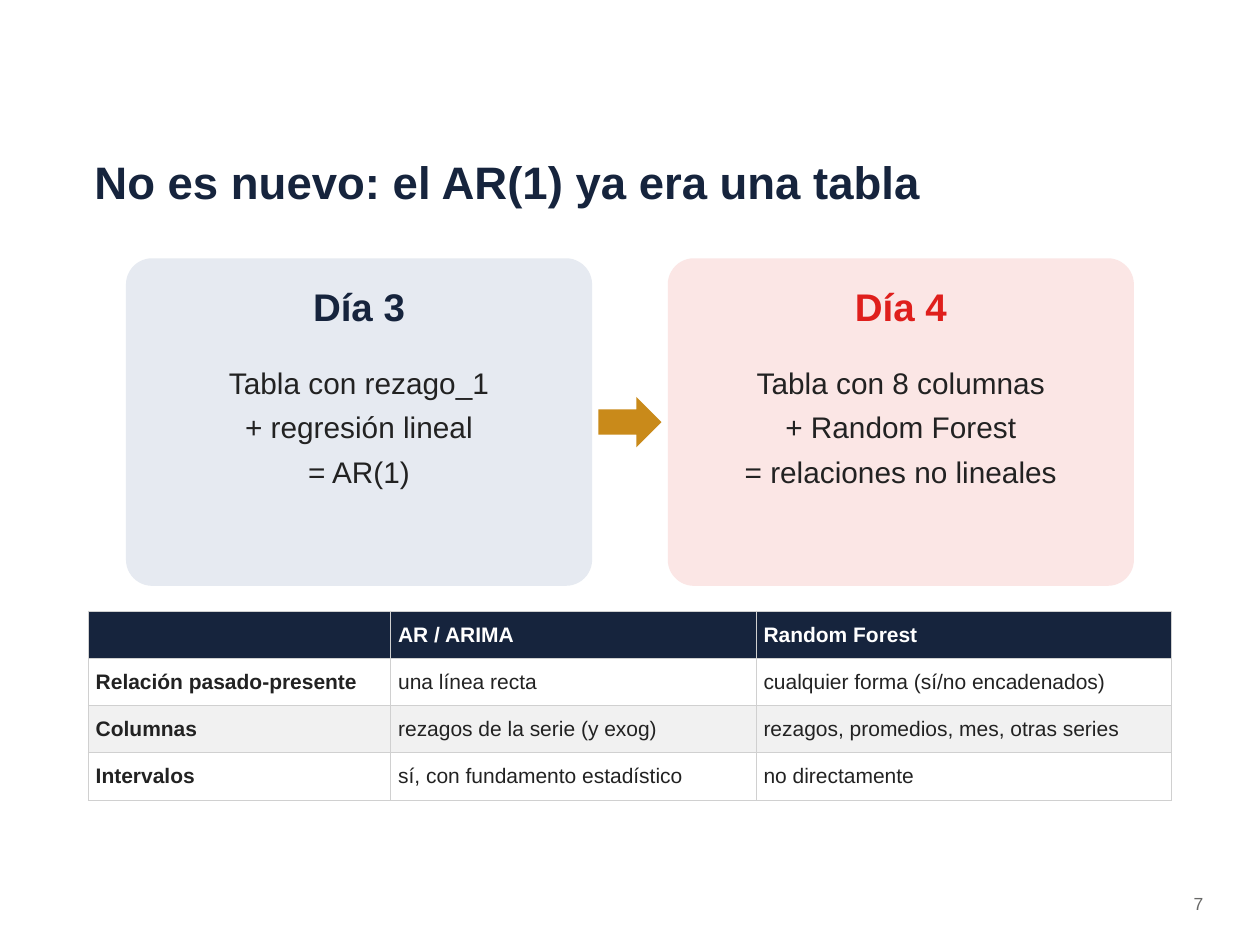
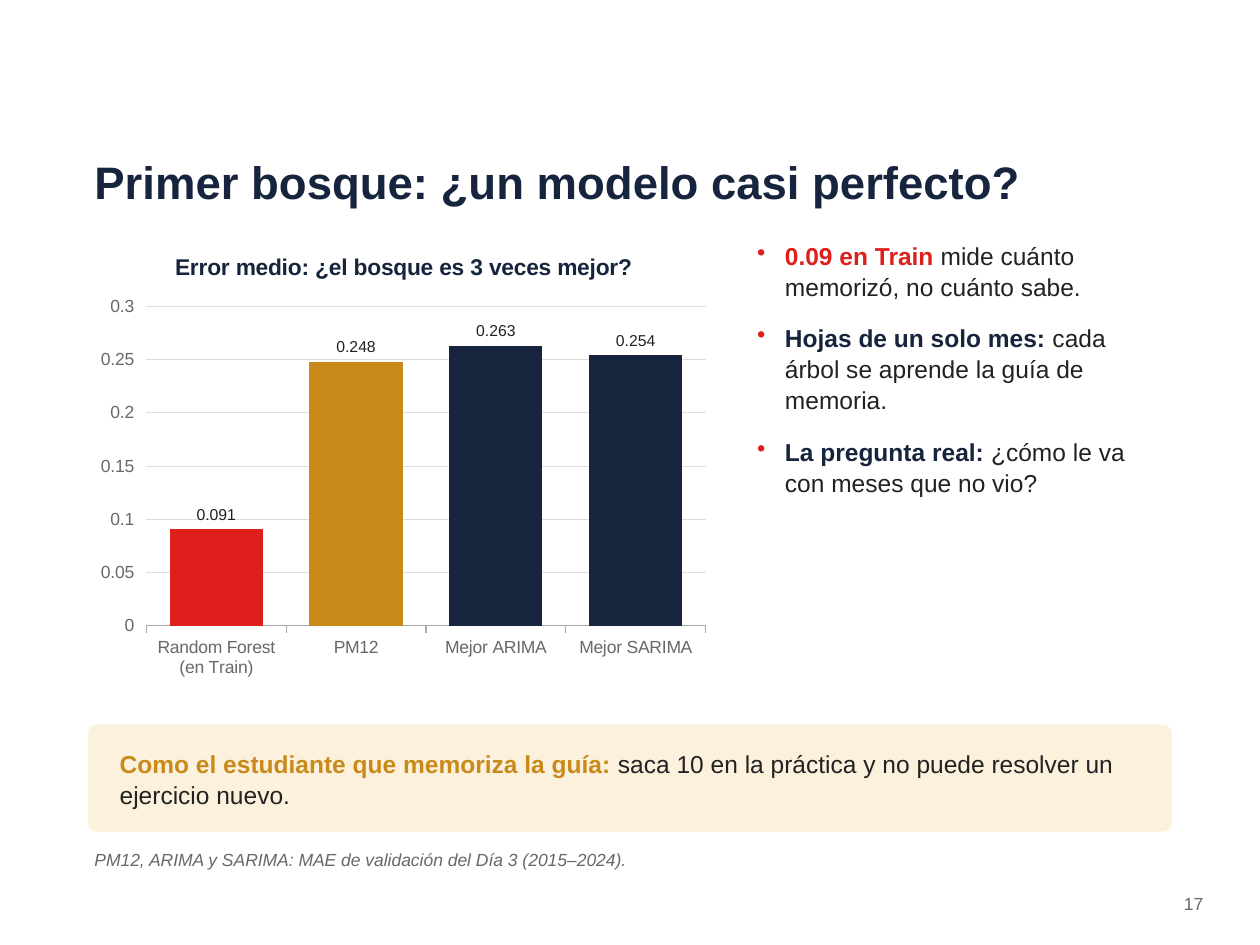
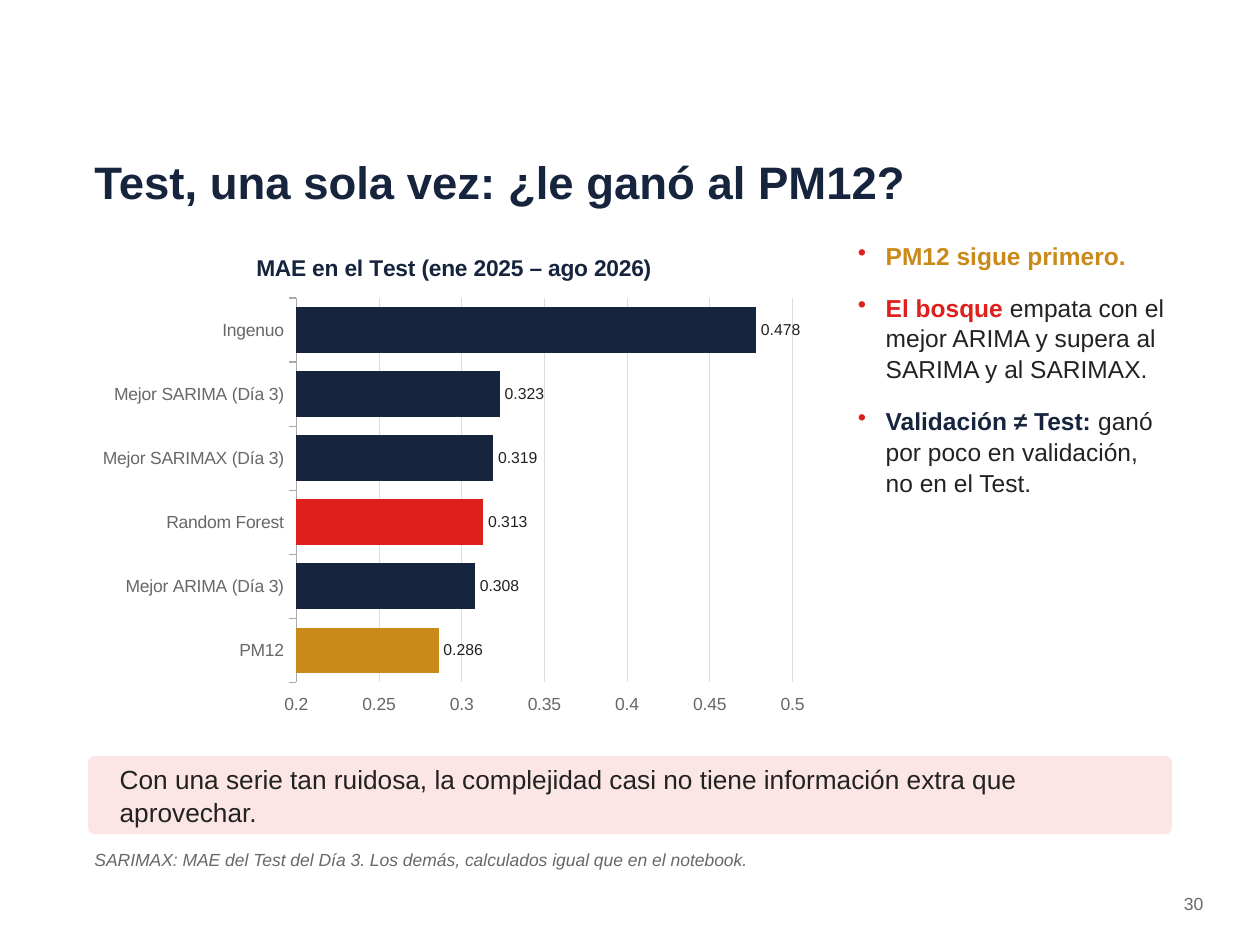
"""Build three slides on forecasting with tables and random forests."""
from lxml import etree
from pptx import Presentation
from pptx.chart.data import CategoryChartData
from pptx.dml.color import RGBColor
from pptx.enum.chart import XL_CHART_TYPE, XL_LABEL_POSITION, XL_TICK_LABEL_POSITION
from pptx.enum.shapes import MSO_SHAPE
from pptx.enum.text import MSO_ANCHOR, MSO_AUTO_SIZE, PP_ALIGN
from pptx.oxml.ns import qn
from pptx.util import Pt

COLUMNS = XL_CHART_TYPE.COLUMN_CLUSTERED
BARS = XL_CHART_TYPE.BAR_CLUSTERED
OUTSIDE = XL_LABEL_POSITION.OUTSIDE_END
LOW = XL_TICK_LABEL_POSITION.LOW
ROUNDED = MSO_SHAPE.ROUNDED_RECTANGLE
ARROW = MSO_SHAPE.RIGHT_ARROW
TOP, MIDDLE = MSO_ANCHOR.TOP, MSO_ANCHOR.MIDDLE
GROW = MSO_AUTO_SIZE.SHAPE_TO_FIT_TEXT
LEFT, CENTER, RIGHT = PP_ALIGN.LEFT, PP_ALIGN.CENTER, PP_ALIGN.RIGHT

FONT = "Arial"
COLORS = {
    "navy": "16243D", "red": "DF1F1C", "gold": "C98A1A", "ink": "222222",
    "gray": "686867", "white": "FFFFFF", "band": "F1F1F1", "border": "D0D0D0",
    "grid": "DDDDDD", "axis": "AAAAAA", "black": "000000",
    "pale_blue": "E6EAF1", "pale_red": "FBE6E5", "pale_gold": "FBF1DC",
}
MARGIN, CONTENT_WIDTH, CONTENT_TOP, GAP = 50.4, 619.2, 133.2, 14.4


def rgb(color):
    return RGBColor.from_string(COLORS[color])


def style_font(font, size, color=None, bold=None, italic=None):
    font.name, font.size, font.bold, font.italic = FONT, Pt(size), bold, italic
    if color:
        font.color.rgb = rgb(color)


def style_line(line, color, width):
    line.color.rgb = rgb(color)
    line.width = Pt(width)


def add_bullet(paragraph):
    properties = paragraph._p.get_or_add_pPr()
    properties.set("marL", str(Pt(20.16)))
    properties.set("indent", str(-Pt(15.84)))
    bullet_color = etree.SubElement(properties, qn("a:buClr"))
    etree.SubElement(bullet_color, qn("a:srgbClr"), val=COLORS["red"])
    etree.SubElement(properties, qn("a:buChar"), char="•")


def add_borders(cell):
    properties = cell._tc.get_or_add_tcPr()
    for side in ("a:lnL", "a:lnR", "a:lnT", "a:lnB"):
        border = etree.SubElement(properties, qn(side), w=str(Pt(0.5)))
        fill = etree.SubElement(border, qn("a:solidFill"))
        etree.SubElement(fill, qn("a:srgbClr"), val=COLORS["border"])


class Deck:
    """Holds the shared style and the slide being filled."""

    def __init__(self):
        self.presentation = Presentation()
        self.presentation.slide_width = Pt(720)
        self.presentation.slide_height = Pt(540)
        self.slide = None

    def new_slide(self, title, number):
        layout = self.presentation.slide_layouts[6]
        self.slide = self.presentation.slides.add_slide(layout)
        self.text((MARGIN, 75.6, CONTENT_WIDTH, 54), [title], 26, "navy",
                  bold=True, anchor=MIDDLE)
        self.text((648, 507.6, 43.2, 21.6), [number], 10, "gray", align=RIGHT)

    def text(self, box, paragraphs, size, color="ink", bold=None, italic=None,
             align=LEFT, anchor=TOP, bullets=False):
        """Each paragraph is a string or a lead, its colour and the rest."""
        frame = self.slide.shapes.add_textbox(*map(Pt, box)).text_frame
        frame.word_wrap = True
        frame.auto_size = GROW
        frame.vertical_anchor = anchor
        frame.margin_left = frame.margin_right = Pt(3.6)
        frame.margin_top = frame.margin_bottom = Pt(3.6 if bullets else 2.16)
        for index, content in enumerate(paragraphs):
            paragraph = frame.add_paragraph() if index else frame.paragraphs[0]
            paragraph.alignment = align
            paragraph.line_spacing = 1.05
            paragraph.space_after = Pt(12 if bullets else 4)
            if bullets:
                add_bullet(paragraph)
            style_font(paragraph.font, size, color, bold, italic)
            if isinstance(content, str):
                paragraph.add_run().text = content
                continue
            lead_text, lead_color, rest = content
            lead = paragraph.add_run()
            lead.text = lead_text
            lead.font.bold = True
            lead.font.color.rgb = rgb(lead_color)
            if rest:
                paragraph.add_run().text = " " + rest

    def shape(self, kind, box, fill):
        shape = self.slide.shapes.add_shape(kind, *map(Pt, box))
        shape.shadow.inherit = False
        shape.fill.solid()
        shape.fill.fore_color.rgb = rgb(fill)
        shape.line.fill.background()
        if kind == ROUNDED:
            shape.adjustments[0] = 0.08

    def card(self, left, fill, heading, heading_color, lines):
        self.shape(ROUNDED, (left, 147.6, 266.4, 187.2), fill)
        self.text((left, 158.4, 266.4, 36), [heading], 22, heading_color,
                  bold=True, align=CENTER)
        self.text((left + GAP, 205.2, 237.6, 122.4), lines, 17, align=CENTER)

    def callout(self, top, height, fill, message, size):
        self.shape(ROUNDED, (MARGIN, top, CONTENT_WIDTH, height), fill)
        self.text((MARGIN + GAP, top, CONTENT_WIDTH - 2 * GAP, height),
                  [message], size, anchor=MIDDLE)

    def note(self, words):
        self.text((MARGIN, 482.4, CONTENT_WIDTH, 21.6), [words], 10, "gray",
                  italic=True)

    def table(self, top, widths, row_height, rows):
        table = self.slide.shapes.add_table(
            len(rows), len(widths), Pt(MARGIN), Pt(top),
            Pt(sum(widths)), Pt(row_height * len(rows))).table
        for column, width in zip(table.columns, widths):
            column.width = Pt(width)
        for r, row in enumerate(rows):
            fill = "navy" if r == 0 else "white" if r % 2 else "band"
            for c, words in enumerate(row):
                cell = table.cell(r, c)
                add_borders(cell)
                cell.fill.solid()
                cell.fill.fore_color.rgb = rgb(fill)
                cell.vertical_anchor = MIDDLE
                cell.margin_left = cell.margin_right = Pt(4.32)
                cell.margin_top = cell.margin_bottom = Pt(2.16)
                cell.text = words
                style_font(cell.text_frame.paragraphs[0].font, 12,
                           "ink" if r else "white", r == 0 or c == 0)

    def chart(self, kind, width, height, title, bars, limits, gap):
        """Each bar is its category, value and colour."""
        data = CategoryChartData(number_format="General")
        data.categories = [category for category, _, _ in bars]
        data.add_series("Series 1", [value for _, value, _ in bars])
        chart = self.slide.shapes.add_chart(
            kind, Pt(MARGIN), Pt(CONTENT_TOP), Pt(width), Pt(height), data).chart
        style_font(chart.font, 10, "black")
        chart.has_legend = False
        heading = chart.chart_title.text_frame
        heading.text = title
        style_font(heading.paragraphs[0].font, 13, "navy", True)
        chart.chart_title.include_in_layout = False

        categories, values = chart.category_axis, chart.value_axis
        for axis in (categories, values):
            style_font(axis.tick_labels.font, 10, "gray")
        categories.tick_label_position = LOW
        style_line(categories.format.line, "axis", 0.75)
        values.minimum_scale, values.maximum_scale = limits
        values.format.line.fill.background()
        style_line(values.major_gridlines.format.line, "grid", 0.5)

        plot = chart.plots[0]
        plot.gap_width = gap
        plot.vary_by_categories = False
        series = plot.series[0]
        for index, (_, _, color) in enumerate(bars):
            fill = series.points[index].format.fill
            fill.solid()
            fill.fore_color.rgb = rgb(color)
        labels = series.data_labels
        labels.show_value = True
        labels.position = OUTSIDE
        labels.number_format = "0.000"
        labels.number_format_is_linked = False
        style_font(labels.font, 9, "ink")

    def chart_with_points(self, kind, width, height, title, bars, limits, gap,
                          points):
        self.chart(kind, width, height, title, bars, limits, gap)
        self.text((MARGIN + width + GAP, CONTENT_TOP,
                   CONTENT_WIDTH - width - GAP, height), points, 14, bullets=True)


def main():
    deck = Deck()

    deck.new_slide("No es nuevo: el AR(1) ya era una tabla", "7")
    deck.card(72, "pale_blue", "Día 3", "navy",
              ["Tabla con rezago_1", "+ regresión lineal", "= AR(1)"])
    deck.card(381.6, "pale_red", "Día 4", "red",
              ["Tabla con 8 columnas", "+ Random Forest",
               "= relaciones no lineales"])
    deck.shape(ARROW, (342, 226.8, 36, 28.8), "gold")
    deck.table(349.2, [172.8, 208.8, 237.6], 27, [
        ["", "AR / ARIMA", "Random Forest"],
        ["Relación pasado-presente", "una línea recta",
         "cualquier forma (sí/no encadenados)"],
        ["Columnas", "rezagos de la serie (y exog)",
         "rezagos, promedios, mes, otras series"],
        ["Intervalos", "sí, con fundamento estadístico", "no directamente"],
    ])

    deck.new_slide("Primer bosque: ¿un modelo casi perfecto?", "17")
    deck.chart_with_points(
        COLUMNS, 360, 259.2, "Error medio: ¿el bosque es 3 veces mejor?",
        [("Random Forest\n(en Train)", 0.091, "red"), ("PM12", 0.248, "gold"),
         ("Mejor ARIMA", 0.263, "navy"), ("Mejor SARIMA", 0.254, "navy")],
        (0, 0.3), 50,
        [("0.09 en Train", "red", "mide cuánto memorizó, no cuánto sabe."),
         ("Hojas de un solo mes:", "navy",
          "cada árbol se aprende la guía de memoria."),
         ("La pregunta real:", "navy", "¿cómo le va con meses que no vio?")])
    deck.callout(414, 61.2, "pale_gold",
                 ("Como el estudiante que memoriza la guía:", "gold",
                  "saca 10 en la práctica y no puede resolver un ejercicio nuevo."),
                 14)
    deck.note("PM12, ARIMA y SARIMA: MAE de validación del Día 3 (2015–2024).")

    deck.new_slide("Test, una sola vez: ¿le ganó al PM12?", "30")
    deck.chart_with_points(
        BARS, 417.6, 280.8, "MAE en el Test (ene 2025 – ago 2026)",
        [("PM12", 0.286, "gold"), ("Mejor ARIMA (Día 3)", 0.308, "navy"),
         ("Random Forest", 0.313, "red"),
         ("Mejor SARIMAX (Día 3)", 0.319, "navy"),
         ("Mejor SARIMA (Día 3)", 0.323, "navy"), ("Ingenuo", 0.478, "navy")],
        (0.2, 0.5), 40,
        [("PM12 sigue primero.", "gold", ""),
         ("El bosque", "red",
          "empata con el mejor ARIMA y supera al SARIMA y al SARIMAX."),
         ("Validación ≠ Test:", "navy",
          "ganó por poco en validación, no en el Test.")])
    deck.callout(432, 44.64, "pale_red",
                 "Con una serie tan ruidosa, la complejidad casi no tiene "
                 "información extra que aprovechar.", 15)
    deck.note("SARIMAX: MAE del Test del Día 3. Los demás, calculados igual "
              "que en el notebook.")

    deck.presentation.save("out.pptx")


if __name__ == "__main__":
    main()
